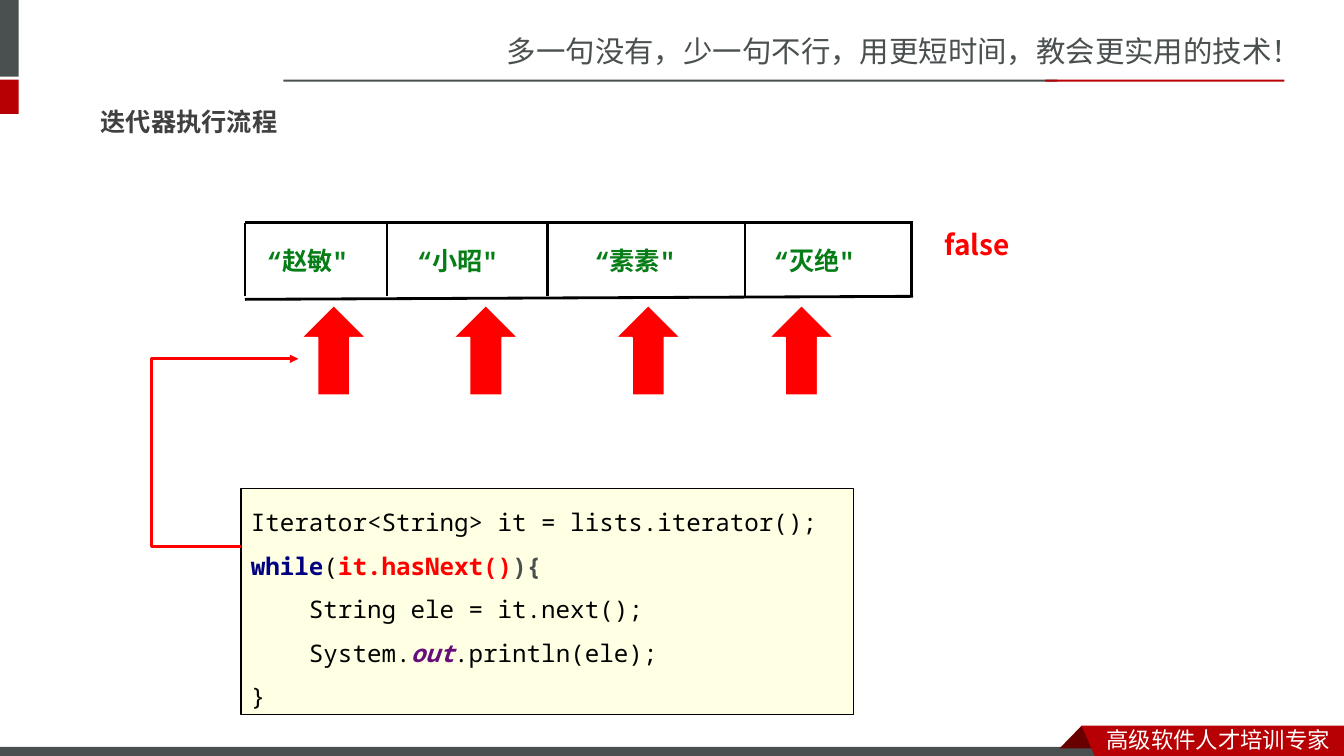
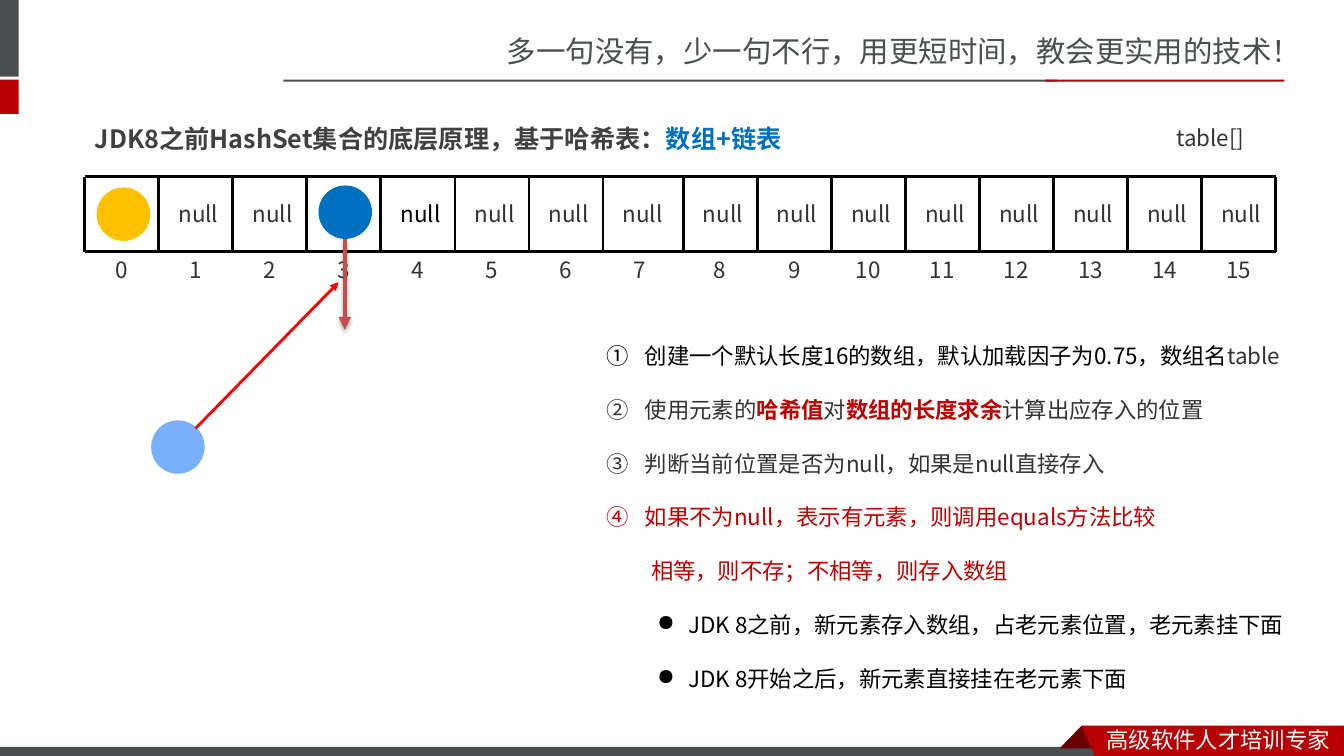
import itertools

import lxml.etree
import pptx
import pptx.dml.color
import pptx.enum.shapes
import pptx.enum.text
import pptx.oxml.ns
import pptx.util

SHAPE = pptx.enum.shapes.MSO_SHAPE
LINK = pptx.enum.shapes.MSO_CONNECTOR
ALIGN = pptx.enum.text.PP_ALIGN
ANCHOR = pptx.enum.text.MSO_ANCHOR
qn = pptx.oxml.ns.qn
SANS_SC, SANS_JP = "Noto Sans CJK SC", "Noto Sans CJK JP"
SLATE, CRIMSON, MAROON, WHITE, BLACK = "49504F", "B60004", "680000", "FFFFFF", "000000"
RED, DARK_RED, BLUE, TITLE, GREY = "FF0000", "C00000", "0070C0", "404040", "333333"

deck = pptx.Presentation()
deck.slide_width = pptx.util.Inches(13.33)
deck.slide_height = pptx.util.Inches(7.5)
column = deck.slide_width / 100
row = deck.slide_height / 100


def paint(fill, colour):
    if colour is None:
        fill.background()
    else:
        fill.solid()
        fill.fore_color.rgb = pptx.dml.color.RGBColor.from_string(colour)


def write(page, at, text="", box=None, shape=None, fill=None, line=None, weight=1,
          align=ALIGN.LEFT, anchor=ANCHOR.TOP, spacing=None, bullets=(), **style):
    left, top, width, height = (
        round(share * unit) for share, unit in zip(at, (column, row, column, row)))
    if shape is not None:
        box = page.shapes.add_shape(shape, left, top, width, height)
        box.shadow.inherit = False
        paint(box.fill, fill)
        paint(box.line.fill, line)
        if line:
            box.line.width = pptx.util.Pt(weight)
    elif box is None:
        box = page.shapes.add_textbox(left, top, width, height)
    else:
        box.left, box.top, box.width, box.height = left, top, width, height
    if not text:
        return
    frame = box.text_frame
    frame.word_wrap = True
    frame.auto_size = pptx.enum.text.MSO_AUTO_SIZE.NONE
    frame.vertical_anchor = anchor
    paragraphs = [[(text, {})]] if isinstance(text, str) else text
    for number, (spans, bullet) in enumerate(itertools.zip_longest(paragraphs, bullets)):
        para = frame.add_paragraph() if number else frame.paragraphs[0]
        if bullet:
            margin, indent, tag, attributes = bullet
            properties = para._p.get_or_add_pPr()
            properties.set("marL", str(round(margin * column)))
            properties.set("indent", str(round(indent * column)))
            lxml.etree.SubElement(properties, qn(tag), attributes)
        para.alignment = align
        para.line_spacing = spacing
        for words, changes in spans:
            look = {**style, **changes}
            span = para.add_run()
            span.text = words
            span.font.size = pptx.util.Pt(look["size"])
            span.font.name = look["face"]
            span.font.bold = look.get("bold", False)
            span.font.italic = look.get("italic", False)
            lxml.etree.SubElement(span._r.get_or_add_rPr(), qn("a:ea"), typeface=look["face"])
            paint(span.font.fill, look["colour"])


layout = deck.slide_layouts.get_by_name("Title Only")
iterator_page = deck.slides.add_slide(layout)
hash_page = deck.slides.add_slide(layout)

for at, colour in [
    ((0, 0, 1.4, 10.13), SLATE),
    ((0, 10.53, 1.4, 4.53), CRIMSON),
    ((21.08, 10.53, 57.6, 0.27), SLATE),
    ((77.78, 10.53, 17.78, 0.27), CRIMSON),
    ((0, 98.8, 82.4, 1.2), SLATE),
]:
    write(iterator_page, at, shape=SHAPE.RECTANGLE, fill=colour)
for corners, colour in [
    ([(80.48, 96), (82.13, 99), (78.83, 99)], MAROON),
    ([(80.48, 96), (100, 96), (100, 100), (81.45, 100)], CRIMSON),
]:
    points = [(x * column, y * row) for x, y in corners]
    builder = iterator_page.shapes.build_freeform(*points[0])
    builder.add_line_segments(points[1:], close=True)
    ribbon = builder.convert_to_shape()
    ribbon.shadow.inherit = False
    paint(ribbon.fill, colour)
    paint(ribbon.line.fill, None)
write(iterator_page, (36.98, 3.73, 63, 6.27), "多一句没有，少一句不行，用更短时间，教会更实用的技术！",
      size=21, face=SANS_SC, colour=SLATE)
write(iterator_page, (81.6, 95.33, 18.4, 4.93), "高级软件人才培训专家",
      size=16, face=SANS_SC, colour=WHITE)

for holder in list(layout.placeholders):
    if holder.placeholder_format.idx:
        layout.shapes.element.remove(holder.element)
for shared in list(iterator_page.shapes):
    if not shared.is_placeholder:
        layout.shapes.element.append(shared.element)

write(iterator_page, (6.75, 11.33, 20, 6.8), "迭代器执行流程", box=iterator_page.shapes.title,
      spacing=1.5, size=18, face="Calibri", colour=TITLE, bold=True)
for name, name_left, arrow_left in [
    ("赵敏", 19.13, 22.43), ("小昭", 30.3, 33.75),
    ("素素", 43.5, 45.83), ("灭绝", 56.85, 57.23),
]:
    write(iterator_page, (name_left, 31.8, 11, 5.4),
          [[("“", {}), (name, {"face": SANS_SC}), ('"', {})]],
          size=18, face="Courier New", colour="067D17", bold=True)
    write(iterator_page, (arrow_left, 40.4, 4.8, 11.87), shape=SHAPE.UP_ARROW,
          fill=RED, line=WHITE)
write(iterator_page, (69.53, 29.47, 8, 5.87), "false",
      size=20, face=SANS_JP, colour=RED, bold=True)
write(iterator_page, (17.93, 64.67, 45.6, 29.87), [
    [("Iterator<String> it = lists.iterator();", {})],
    [("while", {"colour": "000080", "bold": True}), ("(", {}),
     ("it.hasNext()", {"colour": RED, "bold": True}),
     ("){", {"colour": SLATE, "bold": True})],
    [("    String ele = it.next();", {})],
    [("    System.", {}), ("out", {"colour": "660E7A", "bold": True, "italic": True}),
     (".println(ele);", {})],
    [("}", {})],
], shape=SHAPE.RECTANGLE, fill="FFFFE4", line=BLACK, weight=0.75, anchor=ANCHOR.MIDDLE,
    spacing=1.5, size=17.3, face="Noto Sans Mono", colour=BLACK)

write(hash_page, (6.3, 13.6, 57, 6.8),
      [[("JDK8之前HashSet集合的底层原理，基于哈希表：", {}), ("数组+链表", {"colour": BLUE})]],
      box=hash_page.shapes.title, spacing=1.5, size=18, face=SANS_JP, colour=TITLE, bold=True)
write(hash_page, (86.78, 15.73, 8, 4.93), "table[]", size=16, face=SANS_SC, colour=GREY)

slots = 16
slot_width = 5.51
edges = [6.3 + slot_width * slot + (0.45 if slot > 7 else 0) for slot in range(slots + 1)]
for slot, left in enumerate(edges[:slots]):
    write(hash_page, (left, 33.2, slot_width, 4.93), str(slot),
          align=ALIGN.CENTER, size=16, face=SANS_SC, colour=GREY)
    if slot not in (0, 3):
        write(hash_page, (left + 0.2, 25.87, slot_width, 4.93), "null", align=ALIGN.CENTER,
              size=16, face=SANS_SC, colour=BLACK if slot == 4 else GREY)
for left, top, colour in [(23.7, 24.53, BLUE), (7.2, 24.8, "FFC000"), (11.25, 55.6, "79AFFF")]:
    write(hash_page, (left, top, 3.98, 7.07), shape=SHAPE.OVAL, fill=colour)

numbered = (2.85, -2.85, "a:buAutoNum", {"type": "circleNumDbPlain"})
continued = (3.3, 0, "a:buNone", {})
dotted = (6.08, -2.33, "a:buChar", {"char": "●"})
strong = {"colour": DARK_RED, "bold": True}
warning = {"colour": DARK_RED}
black = {"colour": BLACK}
write(hash_page, (44.4, 41.07, 55.6, 53), [
    [("创建一个默认长度16的数组，默认加载因子为0.75，数组名", black), ("table", {})],
    [("使用元素的", {}), ("哈希值", strong), ("对", {}), ("数组的长度求余", strong),
     ("计算出应存入的位置", {})],
    [("判断当前位置是否为null，如果是null直接存入", {})],
    [("如果不为null，表示有元素，则调用equals方法比较", warning)],
    [("相等，则不存；不相等，则存入数组", warning)],
    [("JDK 8之前，新元素存入数组，占老元素位置，老元素挂下面", black)],
    [("JDK 8开始之后，新元素直接挂在老元素下面", black)],
], bullets=[numbered] * 4 + [continued] + [dotted] * 2,
    spacing=2, size=16, face=SANS_JP, colour=GREY)

links = [
    (iterator_page, (18.23, 29.47, 67.95, 29.47), BLACK, 2),
    (iterator_page, (18.23, 39.6, 67.95, 39.2), BLACK, 2),
    (iterator_page, (17.93, 72.27, 22.2, 47.47), RED, 2),
    (hash_page, (edges[0], 23.4, edges[-1], 23.4), BLACK, 2),
    (hash_page, (edges[0], 33.27, edges[-1], 33.27), BLACK, 2),
    (hash_page, (14.55, 56.67, 25.2, 37.33), RED, 2),
    (hash_page, (25.65, 31.6, 25.65, 43.6), "C0504D", 3),
]
links += [(iterator_page, (x, 29.47, x, 39.2), BLACK, 2)
          for x in (18.23, 28.8, 40.73, 55.43, 67.8)]
links += [(hash_page, (x, 23.47, x, 33.33), BLACK, 2) for x in edges]
for page, ends, colour, weight in links:
    elbow = page is iterator_page and colour == RED
    link = page.shapes.add_connector(
        LINK.ELBOW if elbow else LINK.STRAIGHT,
        *(round(share * unit) for share, unit in zip(ends, (column, row, column, row))))
    paint(link.line.fill, colour)
    link.line.width = pptx.util.Pt(weight)
    if colour != BLACK:
        lxml.etree.SubElement(link.get_or_add_ln(), qn("a:tailEnd"), type="triangle")
    properties = link.element.find(qn("p:spPr"))
    if elbow:
        geometry = properties.find(qn("a:prstGeom"))
        guides = geometry.find(qn("a:avLst"))
        if guides is None:
            guides = lxml.etree.SubElement(geometry, qn("a:avLst"))
        lxml.etree.SubElement(guides, qn("a:gd"), name="adj1", fmla="val -156000")
    effects = lxml.etree.SubElement(properties, qn("a:effectLst"))
    if weight == 3:
        shadow = lxml.etree.SubElement(
            effects, qn("a:outerShdw"), blurRad=str(pptx.util.Pt(3.1)),
            dist=str(pptx.util.Pt(1.8)), dir="5400000", rotWithShape="0")
        tint = lxml.etree.SubElement(shadow, qn("a:srgbClr"), val=BLACK)
        lxml.etree.SubElement(tint, qn("a:alpha"), val="35000")

deck.save("out.pptx")
